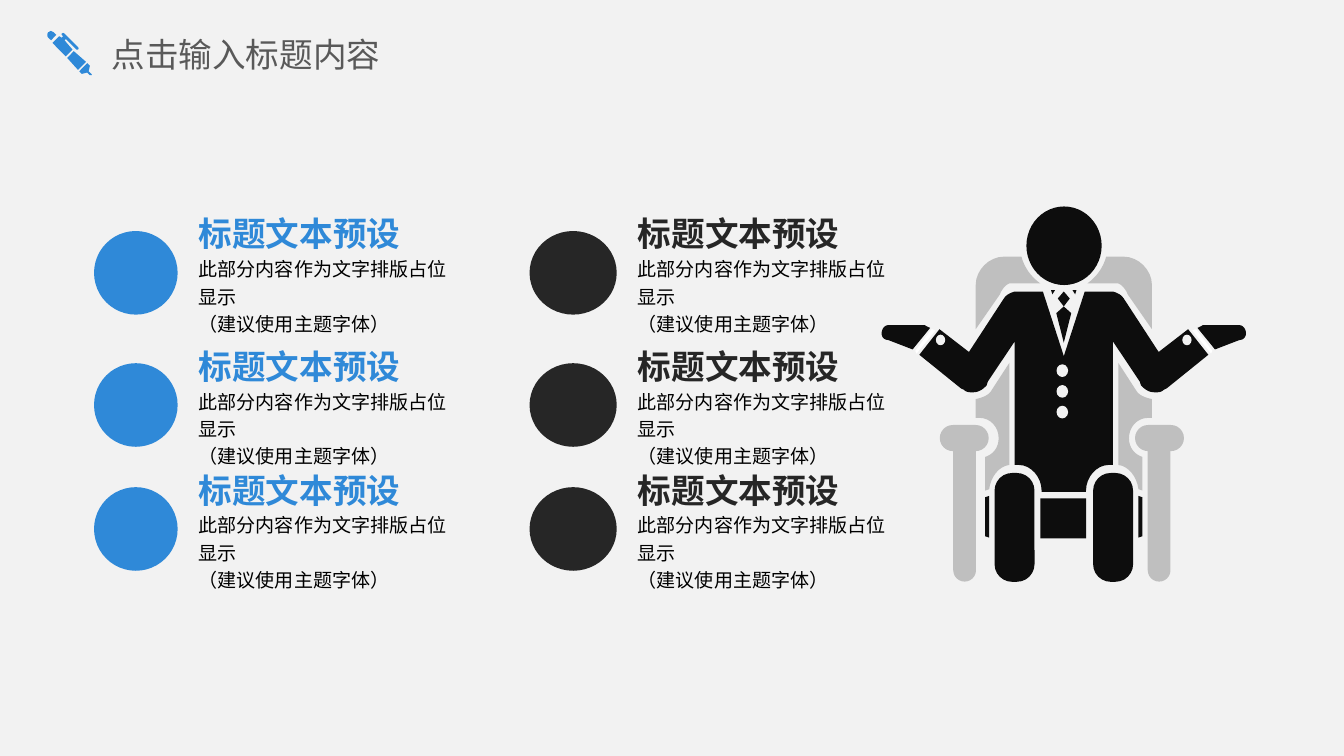
from pptx import Presentation
from pptx.dml.color import RGBColor
from pptx.enum.shapes import MSO_SHAPE
from pptx.enum.text import MSO_ANCHOR
from pptx.util import Pt

BLUE = RGBColor(0x2F, 0x89, 0xD8)
DARK = RGBColor(0x26, 0x26, 0x26)
BLACK = RGBColor(0, 0, 0)
INK = RGBColor(0x0D, 0x0D, 0x0D)
SILVER = RGBColor(0xBF, 0xBF, 0xBF)
WHITE = RGBColor(0xFF, 0xFF, 0xFF)
PAPER = RGBColor(0xF2, 0xF2, 0xF2)
GREY = RGBColor(0x59, 0x59, 0x59)

prs = Presentation()
prs.slide_width, prs.slide_height = Pt(720), Pt(405)
s = prs.slides.add_slide(prs.slide_layouts[6])
s.background.fill.solid()
s.background.fill.fore_color.rgb = PAPER


def preset(kind, x, y, w, h, color, adj=()):
    sp = s.shapes.add_shape(kind, Pt(x), Pt(y), Pt(w), Pt(h))
    for i, a in enumerate(adj):
        sp.adjustments[i] = a
    sp.shadow.inherit = False
    sp.fill.solid()
    sp.fill.fore_color.rgb = color
    sp.line.fill.background()


def outline(steps, color, axis=0, side=1):
    """Fill a closed outline; a pair is a corner, six numbers are a cubic curve.

    Across is measured from the axis, to the right or (side=-1) to the left.
    """
    pts = []
    for step in steps:
        if len(step) == 2:
            pts.append(step)
            continue
        ctrl = [pts[-1], step[:2], step[2:4], step[4:]]
        for t in (k / 8 for k in range(1, 9)):
            weights = ((1 - t) ** 3, 3 * t * (1 - t) ** 2, 3 * t * t * (1 - t), t ** 3)
            pts.append(tuple(sum(w * c[d] for w, c in zip(weights, ctrl)) for d in (0, 1)))
    pts = [((axis + side * x) * 100, y * 100) for x, y in pts]
    fb = s.shapes.build_freeform(*pts[0], scale=Pt(1) / 100)
    fb.add_line_segments(pts[1:], close=True)
    sp = fb.convert_to_shape()
    sp.shadow.inherit = False
    sp.fill.solid()
    sp.fill.fore_color.rgb = color
    sp.line.fill.background()


# Pen icon
PEN = [
    [(46.8, 33.8), (42.5, 38.2), (43.9, 39.6), (46.8, 38.9), (48.2, 40.3),
     (49.3, 40.3), (49, 39.6), (47.5, 38.2), (48.2, 35.3)],
    [(39.6, 27.4), (36, 31), (41.8, 37.4), (46.1, 33.1)],
    [(34.6, 18), (33.8, 17.6), (33.1, 18), (33.1, 18.7), (33.8, 19.4), (33.1, 20.2),
     (31.7, 19.4), (28.1, 23), (35.3, 30.2), (38.9, 26.6), (34.6, 21.6),
     (35.3, 20.9), (41, 26.6), (41.8, 26.6), (42.2, 25.9), (41.8, 25.2)],
    [(27.4, 16.6), (26.6, 16.6, 26.6, 17.3, 25.9, 17.3),
     (25.2, 18, 25.2, 19.4, 25.9, 20.2), (27.4, 21.6), (30.2, 18.7), (28.8, 17.3)],
]
for part in PEN:
    outline(part, BLUE)

# Seated figure: halves mirrored about the middle
AXIS, CHAIR_AXIS = 569.9, 568.9
HALVES = [
    # chair back beside the waist
    ([(38.5, 208.8), (37.1, 206.6), (29.2, 194.4), (29.2, 249.1),
      (34.9, 249.8, 39.2, 255.6, 40, 262.1), (42.1, 262.8), (42.1, 244.8),
      (37.8, 243.4, 34.9, 239.8, 34.9, 234.7), (34.9, 229, 39.2, 223.9, 45, 223.9),
      (47.2, 223.9), (47.2, 213.8), (43.6, 213.1, 40, 211.7, 38.5, 208.8)], SILVER),
    # chair back above the shoulder
    ([(12.6, 151.9), (29.2, 151.9), (31.3, 152.6, 33.5, 155.5, 34.2, 157.7),
      (47.2, 176.4), (47.2, 152.6), (47.2, 144.7, 40, 137.5, 32, 137.5),
      (22.7, 137.5), (21.2, 143.3, 17.6, 148.3, 12.6, 151.9)], SILVER),
    # collar
    ([(6.1, 157.7), (6.8, 155.5), (4.7, 155.5)], INK),
    # seat edge
    ([(42.1, 266.4), (40, 265.7), (40, 288), (42.1, 287.3)], INK),
    # hand
    ([(71.6, 175.7), (73.1, 175), (74.5, 174.2), (94, 174.2),
      (96.1, 174.2, 97.6, 176.4, 97.6, 178.6), (97.6, 180.7, 96.1, 182.2, 94, 182.2),
      (81, 187.2)], INK),
    # cuff
    ([(68.8, 177.1), (70.4, 176.4), (70.9, 176.4), (79.6, 188), (78.9, 189.4)], WHITE),
]
half_suit = [
    (11.2, 156.2), (26.3, 156.2), (28.5, 156.9, 30.6, 157.7, 32, 159.8), (50.8, 188.6),
    (66.6, 176.4), (77.4, 190.1), (55.1, 208.1), (53.6, 208.8),
    (52.2, 210.2, 50.8, 210.2, 48.6, 210.2), (45.7, 210.2, 43.6, 208.8, 41.4, 206.6),
    (40.7, 204.5), (26.3, 182.9), (26.3, 249.1), (24.1, 249.1),
    (17.6, 249.1, 11.9, 255.6, 11.9, 262.8), (11.9, 263.5), (0, 263.5), (0, 190.8)]

# kind, distance from axis, top, width, height, colour, adjustments, axis
PAIRS = [
    (MSO_SHAPE.ROUNDED_RECTANGLE, 15.7, 253.4, 21.4, 58.3, INK, (0.44,), AXIS),
    (MSO_SHAPE.ROUND_2_SAME_RECTANGLE, 46, 241.6, 12.2, 70, SILVER, (0, 0.5), CHAIR_AXIS),
    (MSO_SHAPE.ROUNDED_RECTANGLE, 39.2, 227.7, 26.2, 14, SILVER, (0.5,), CHAIR_AXIS),
]
for side in (1, -1):
    for steps, color in HALVES + [(half_suit, INK)]:
        outline(steps, color, AXIS, side)
    for kind, off, y, w, h, color, adj, axis in PAIRS:
        preset(kind, axis + off if side > 0 else axis - off - w, y, w, h, color, adj)
    preset(MSO_SHAPE.OVAL, AXIS + side * 66 - 2.5, 179.3, 5, 5.7, PAPER)

preset(MSO_SHAPE.RECTANGLE, AXIS - 0.3, 190.8, 0.6, 72.7, INK)  # jacket seam
preset(MSO_SHAPE.RECTANGLE, 557.4, 267, 24.5, 21.5, INK)  # seat
preset(MSO_SHAPE.OVAL, 549.9, 110.6, 40.3, 42.1, INK)  # head
outline([(0, 164.2), (-4, 167.8), (0, 183.6), (4, 167.8)], INK, AXIS)  # tie
outline([(0, 156.2), (-3.2, 160), (0, 164.2), (3.2, 160)], INK, AXIS)  # tie knot
for i in range(3):
    preset(MSO_SHAPE.OVAL, 566, 195.2 + 11.1 * i, 6.2, 6.8, PAPER)

# Text blocks: x, y, width, height, inset, anchor, line spacing, lines, size, bold, colour, font
texts = [(59.8, 13.7, 167.8, 30.2, 0, MSO_ANCHOR.MIDDLE, None,
          ["点击输入标题内容"], 18, False, GREY, "Noto Sans CJK SC")]
for x, w, color in ((50.4, 44.8, BLUE), (283.7, 46.7, DARK)):
    for y in (123.8, 194.6, 261):
        preset(MSO_SHAPE.OVAL, x, y, w, 44.8, color)
        texts.append((x + w, y - 9.4, 162, 21.4, 11.3, MSO_ANCHOR.MIDDLE, None,
                      ["标题文本预设"], 18, True, color, "Calibri"))
        texts.append((x + w, y + 11.9, 162, 42.5, 11.3, MSO_ANCHOR.TOP, 1.2,
                      ["此部分内容作为文字排版占位显示", "（建议使用主题字体）"],
                      10.2, False, BLACK, "Calibri"))

for x, y, w, h, inset, anchor, spacing, lines, size, bold, color, font in texts:
    tf = s.shapes.add_textbox(Pt(x), Pt(y), Pt(w), Pt(h)).text_frame
    tf.word_wrap = True
    tf.vertical_anchor = anchor
    tf.margin_left = tf.margin_right = Pt(inset)
    tf.margin_top = tf.margin_bottom = 0
    p = tf.paragraphs[0]
    p.line_spacing = spacing
    for i, line in enumerate(lines):
        if i:
            p.add_line_break()
        r = p.add_run()
        r.text = line
        r.font.size = Pt(size)
        r.font.bold = bold
        r.font.name = font
        r.font.color.rgb = color

prs.save("out.pptx")
